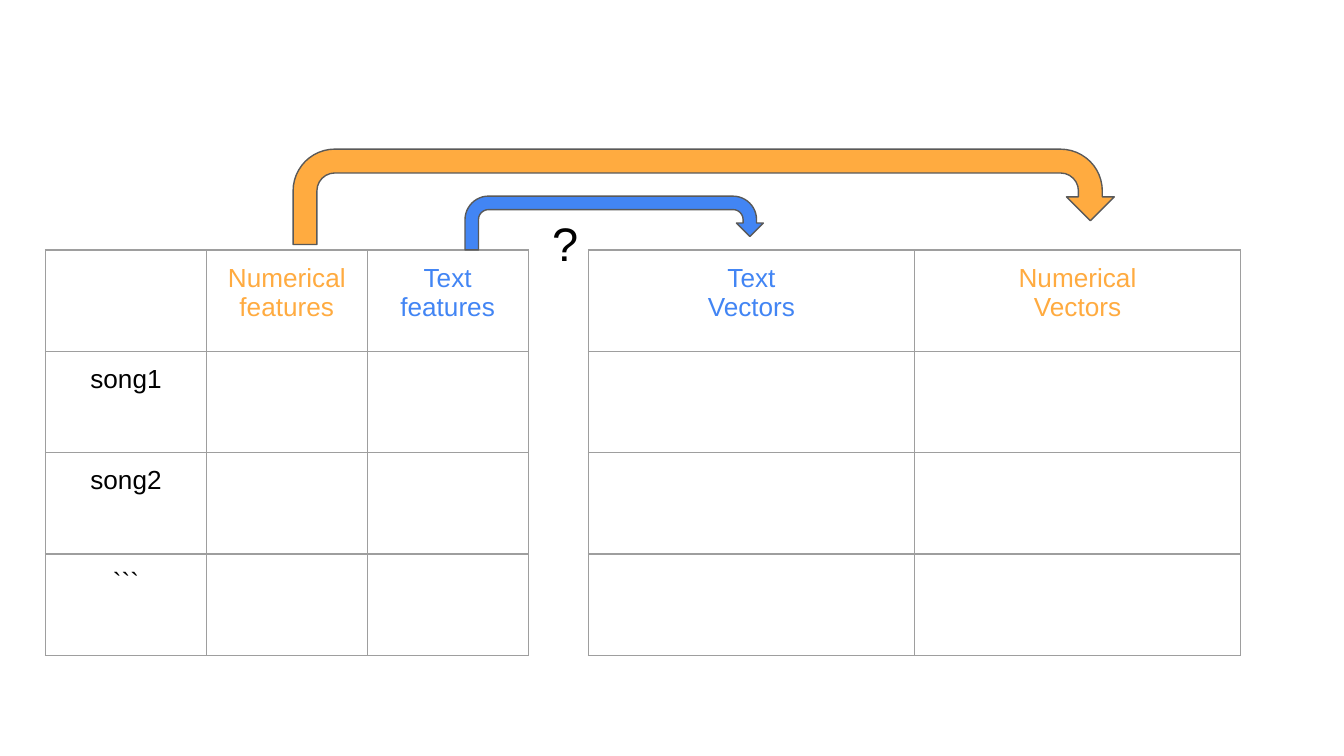
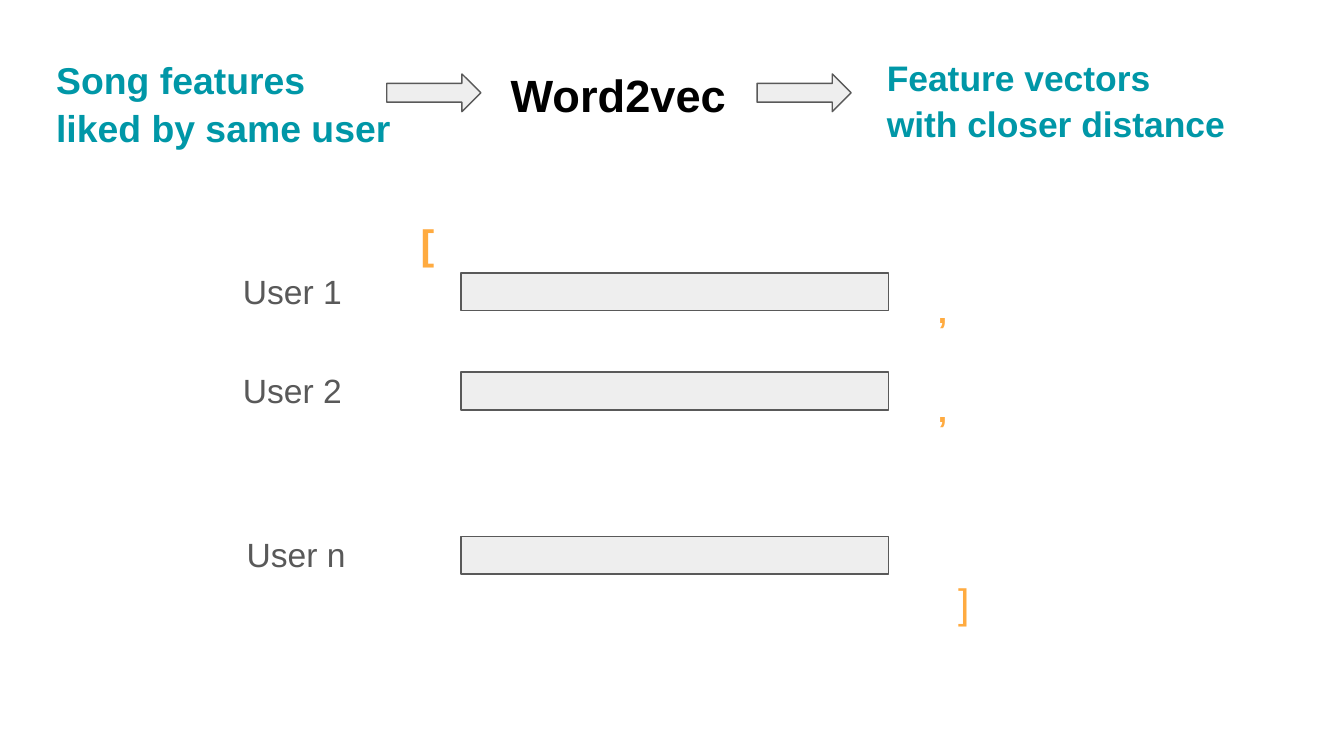
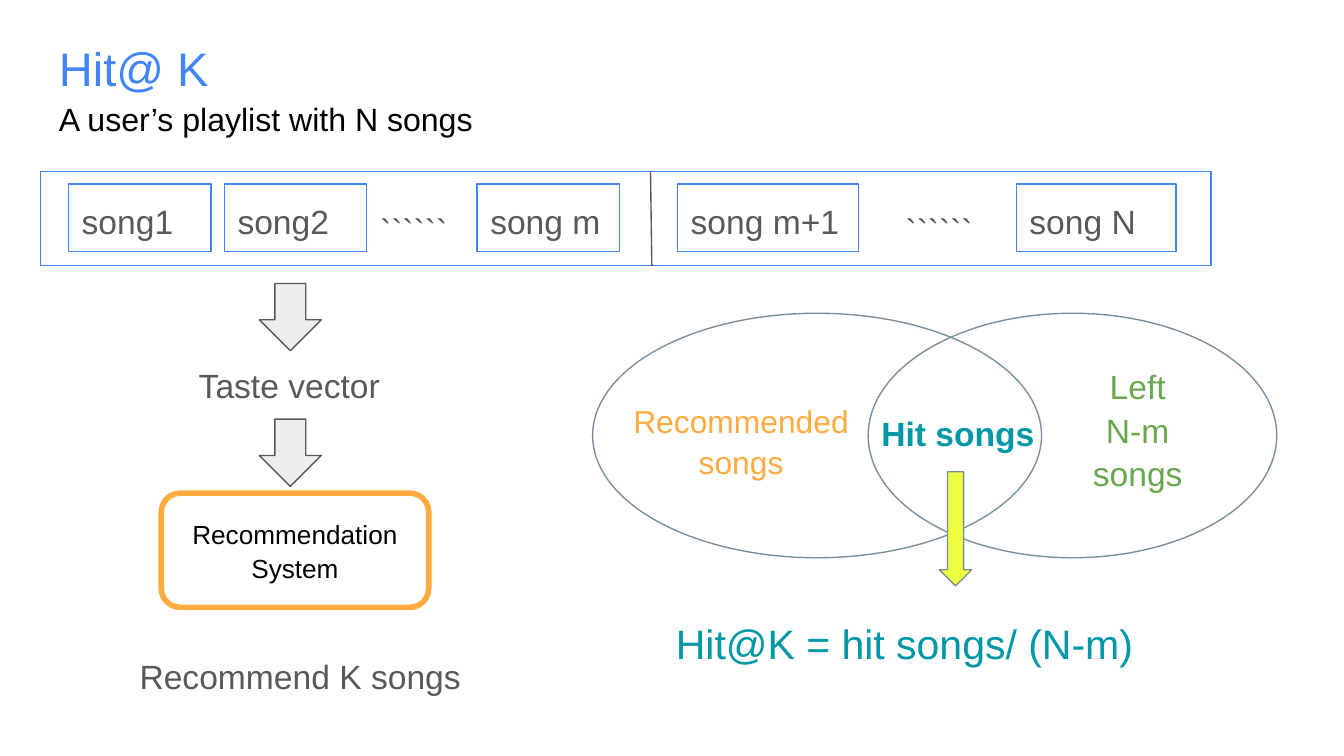
import pptx
import pptx.dml.color
import pptx.enum.shapes
import pptx.enum.text
import pptx.oxml
import pptx.oxml.ns
import pptx.util

Pt = pptx.util.Pt
RGBColor = pptx.dml.color.RGBColor
SHAPE = pptx.enum.shapes.MSO_SHAPE
ALIGN = pptx.enum.text.PP_ALIGN
ANCHOR = pptx.enum.text.MSO_ANCHOR

FONT = "Arial"
BLACK = RGBColor(0x00, 0x00, 0x00)
GRAY = RGBColor(0x59, 0x59, 0x59)
LIGHT_GRAY = RGBColor(0xEE, 0xEE, 0xEE)
BORDER_GRAY = RGBColor(0x9E, 0x9E, 0x9E)
SLATE = RGBColor(0x78, 0x90, 0x9C)
BLUE = RGBColor(0x42, 0x85, 0xF4)
ORANGE = RGBColor(0xFF, 0xAB, 0x40)
TEAL = RGBColor(0x00, 0x97, 0xA7)
GREEN = RGBColor(0x6A, 0xA8, 0x4F)
YELLOW = RGBColor(0xEE, 0xFF, 0x41)

INSET = 7.2
LINE_WIDTH = 0.75
LINE_SPACING = 1.08
TITLE_SIZE = 25.2


def points(box):
    return [Pt(length) for length in box]


def write(frame, lines, size, color, bold=False, align=ALIGN.LEFT, spacing=LINE_SPACING):
    """Put each line in its own paragraph, all in one style."""
    for index, line in enumerate(lines):
        paragraph = frame.paragraphs[0] if index == 0 else frame.add_paragraph()
        paragraph.alignment = align
        paragraph.line_spacing = spacing
        run = paragraph.add_run()
        run.text = line
        run.font.name = FONT
        run.font.size = Pt(size)
        run.font.bold = bold
        run.font.color.rgb = color


def prepare_frame(shape, anchor=ANCHOR.TOP):
    frame = shape.text_frame
    frame.word_wrap = True
    frame.vertical_anchor = anchor
    frame.margin_left = frame.margin_right = Pt(INSET)
    frame.margin_top = frame.margin_bottom = Pt(INSET)
    return frame


def add_text(slide, box, lines, size, color, **style):
    frame = prepare_frame(slide.shapes.add_textbox(*points(box)))
    write(frame, lines, size, color, **style)
    return frame


def add_shape(slide, kind, box, fill=None, line=None, width=LINE_WIDTH):
    shape = slide.shapes.add_shape(kind, *points(box))
    shape.shadow.inherit = False
    if fill is None:
        shape.fill.background()
    else:
        shape.fill.solid()
        shape.fill.fore_color.rgb = fill
    if line is None:
        shape.line.fill.background()
    else:
        shape.line.color.rgb = line
        shape.line.width = Pt(width)
    return shape


def add_rounded_label(slide, box, lines, size, color, line=None):
    shape = add_shape(slide, SHAPE.ROUNDED_RECTANGLE, box, line=line, width=3)
    write(prepare_frame(shape, ANCHOR.MIDDLE), lines, size, color, align=ALIGN.CENTER)


def add_line(slide, start, end, color):
    connector = slide.shapes.add_connector(
        pptx.enum.shapes.MSO_CONNECTOR.STRAIGHT, *points(start + end))
    connector.line.color.rgb = color
    connector.line.width = Pt(LINE_WIDTH)
    connector._element.spPr.append(pptx.oxml.parse_xml(
        f"<a:effectLst {pptx.oxml.ns.nsdecls('a')}/>"))


def set_borders(cell):
    properties = cell._tc.get_or_add_tcPr()
    for position, side in enumerate(("lnL", "lnR", "lnT", "lnB")):
        properties.insert(position, pptx.oxml.parse_xml(
            f'<a:{side} {pptx.oxml.ns.nsdecls("a")} w="{Pt(LINE_WIDTH)}">'
            f'<a:solidFill><a:srgbClr val="{BORDER_GRAY}"/></a:solidFill></a:{side}>'))


def add_feature_table(slide, box, rows):
    """Draw equal cells; a filled cell is a pair of lines and colour."""
    table = slide.shapes.add_table(len(rows), len(rows[0]), *points(box)).table
    table.first_row = table.horz_banding = False
    for column in table.columns:
        column.width = Pt(box[2] / len(rows[0]))
    for row, contents in zip(table.rows, rows):
        row.height = Pt(box[3] / len(rows))
        for cell, content in zip(row.cells, contents):
            cell.fill.background()
            cell.margin_left = cell.margin_right = Pt(INSET)
            cell.margin_top = cell.margin_bottom = Pt(INSET)
            set_borders(cell)
            if content:
                lines, color = content
                write(cell.text_frame, lines, 14, color, align=ALIGN.CENTER, spacing=1.0)


def build_vector_slide(slide):
    add_text(slide, (288.7, 105.1, 36, 38.2), ["?"], TITLE_SIZE, BLACK)
    features = [[None, (["Numerical", "features"], ORANGE), (["Text", "features"], BLUE)]]
    features += [[([name], BLACK), None, None] for name in ("song1", "song2", "```")]
    vectors = [[(["Text", "Vectors"], BLUE), (["Numerical", "Vectors"], ORANGE)]]
    vectors += [[None, None]] * 3
    add_feature_table(slide, (24.4, 133.9, 258.6, 217.3), features)
    add_feature_table(slide, (315.2, 133.9, 349.4, 217.3), vectors)
    add_shape(slide, SHAPE.U_TURN_ARROW, (157, 79.9, 439.9, 51.1), ORANGE, GRAY)
    add_shape(slide, SHAPE.U_TURN_ARROW, (249.1, 105.1, 159.8, 28.8), BLUE, GRAY)


def add_word2vec_chain(slide):
    add_text(slide, (23, 21.6, 211, 55.4), ["Song features", "liked by same user"],
             20, TEAL, bold=True)
    add_text(slide, (258.5, 26.6, 145.4, 45.4), ["Word2vec"], 24.2, BLACK,
             bold=True, align=ALIGN.CENTER)
    add_text(slide, (468, 20.9, 197, 60.5), ["Feature vectors", "with closer distance"],
             19, TEAL, bold=True)
    for left in (207.2, 405.6):
        add_shape(slide, SHAPE.RIGHT_ARROW, (left, 39.6, 50.4, 20.2), LIGHT_GRAY, GRAY)


def add_user_row(slide, box, label, label_left):
    left, top, width, height = box
    add_shape(slide, SHAPE.RECTANGLE, box, LIGHT_GRAY, GRAY)
    add_text(slide, (left + label_left, top - 10, 118.8, 39.6), [label], 18, GRAY)


def build_word2vec_slide(slide):
    add_word2vec_chain(slide)
    users = (("User 1", 146.2, -124), ("User 2", 199.4, -124), ("User n", 287.3, -122))
    for label, top, label_left in users:
        add_user_row(slide, (247, top, 229, 20.2), label, label_left)
    for _, top, _ in users[:-1]:
        add_text(slide, (495.4, top, 23, 20.2), [","], 18, ORANGE, bold=True)
    add_text(slide, (218.2, 108, 29.5, 23.8), ["["], 22, ORANGE, bold=True)
    add_text(slide, (506.2, 300.2, 61.2, 35.3), ["]"], 22, ORANGE)


def add_playlist(slide, box):
    left, top, _, height = box
    add_shape(slide, SHAPE.RECTANGLE, box, line=BLUE)
    songs = (("song1", 15.1, 76.3), ("song2", 98.6, 76.3), ("song m", 234, 76.3),
             ("song m+1", 341.3, 97.2), ("song N", 522.8, 85.7))
    for name, offset, width in songs:
        song = add_shape(slide, SHAPE.RECTANGLE, (left + offset, top + 6.7, width, 36), line=BLUE)
        write(prepare_frame(song), [name], 18, GRAY)
    for offset, width in ((175, 97), (456.5, 62.6)):
        add_text(slide, (left + offset, top + 11.5, width, 26.6), ["``````"], 18, GRAY)
    add_line(slide, (left + 327.6, top + height), (left + 326.9, top), GRAY)


def add_recommendation_flow(slide, left, top):
    for offset in (0, 72.7):
        add_shape(slide, SHAPE.DOWN_ARROW, (left + 71.3, top + offset, 33.1, 36),
                  LIGHT_GRAY, GRAY)
    add_text(slide, (left + 31.7, top + 34.6, 116, 19.4), ["Taste vector"], 18, GRAY)
    add_rounded_label(slide, (left + 18.7, top + 112.3, 143.3, 61.2),
                      ["Recommendation", "System"], 14, BLACK, line=ORANGE)
    add_text(slide, (left, top + 190.8, 226, 21.6), ["Recommend K songs"], 18, GRAY)


def add_hit_diagram(slide, left, top):
    for offset, width in ((0, 240.5), (147.6, 218.9)):
        add_shape(slide, SHAPE.OVAL, (left + offset, top, width, 131), line=SLATE)
    add_rounded_label(slide, (left + 11.5, top + 37.4, 136.1, 61.2),
                      ["Recommended", "songs"], 17, ORANGE)
    add_rounded_label(slide, (left + 243.4, top + 30.9, 97.2, 61.2),
                      ["Left", "N-m", "songs"], 18, GREEN)
    add_shape(slide, SHAPE.DOWN_ARROW, (left + 185.8, top + 84.9, 17.3, 61.2), YELLOW, SLATE)
    add_text(slide, (left + 147.6, top + 44.6, 148.3, 26.6), ["Hit songs"], 18, TEAL, bold=True)
    add_text(slide, (left + 37.5, top + 154, 291.6, 46.8), ["Hit@K = hit songs/ (N-m)"],
             22, TEAL)


def build_hit_slide(slide):
    heading = add_text(slide, (24.5, 11.5, 671, 69.8), ["Hit@ K"], TITLE_SIZE, BLUE)
    subtitle = heading.add_paragraph()
    subtitle.line_spacing = LINE_SPACING
    run = subtitle.add_run()
    run.text = "A user’s playlist with N songs"
    run.font.name = FONT
    run.font.size = Pt(17.2)
    run.font.color.rgb = BLACK
    add_playlist(slide, (21.6, 92, 627.1, 50.4))
    add_recommendation_flow(slide, 67.7, 151.9)
    add_hit_diagram(slide, 317.5, 167.8)


def main():
    presentation = pptx.Presentation()
    presentation.slide_width = Pt(720)
    presentation.slide_height = Pt(405)
    blank = presentation.slide_layouts[6]
    for build in (build_vector_slide, build_word2vec_slide, build_hit_slide):
        build(presentation.slides.add_slide(blank))
    presentation.save("out.pptx")


if __name__ == "__main__":
    main()
